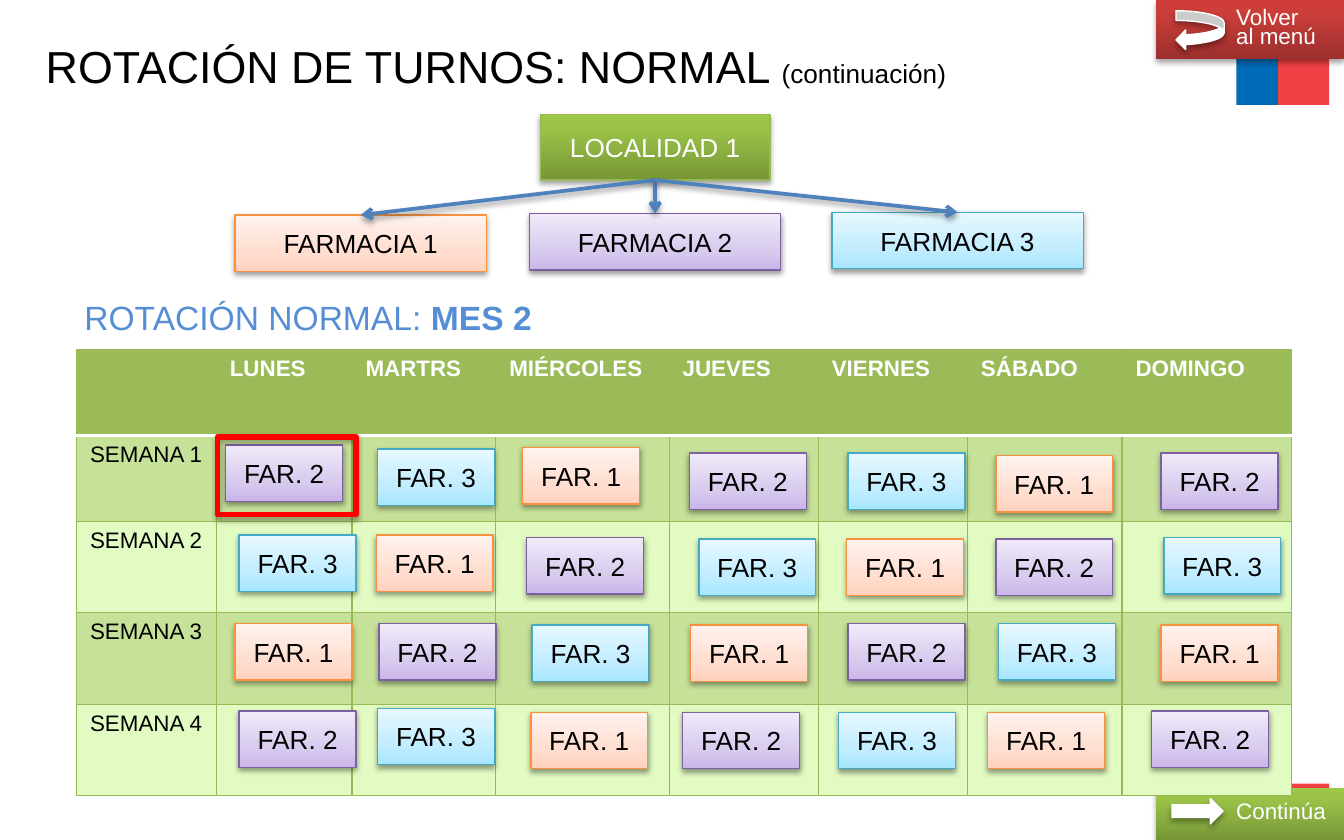
from lxml.etree import SubElement
from pptx import Presentation
from pptx.dml.color import RGBColor
from pptx.enum.shapes import MSO_CONNECTOR, MSO_SHAPE
from pptx.enum.text import MSO_ANCHOR, PP_ALIGN
from pptx.oxml import parse_xml
from pptx.oxml.ns import nsdecls, qn
from pptx.util import Inches, Pt

# Content
TITLE = [("ROTACIÓN DE TURNOS: NORMAL ", 24, False), ("(continuación)", 14, False)]
SUBTITLE = [("ROTACIÓN NORMAL: ", 18, False), ("MES 2", 18, True)]
DAYS = ["LUNES", "MARTRS", "MIÉRCOLES", "JUEVES", "VIERNES", "SÁBADO", "DOMINGO"]
WEEKS = ["SEMANA 1", "SEMANA 2", "SEMANA 3", "SEMANA 4"]
PHARMACIES = {1: (1.75, 1.6), 2: (3.94, 1.59), 3: (6.19, 1.58)}
FIRST_TURN = 2

# Left and top of each turn card, a row for each week
CARD_SPOTS = [
    [(1.68, 3.31), (2.81, 3.34), (3.89, 3.33), (5.13, 3.37), (6.31, 3.37), (7.41, 3.39), (8.64, 3.37)],
    [(1.78, 3.98), (2.8, 3.98), (3.92, 4), (5.2, 4.01), (6.3, 4.01), (7.41, 4.01), (8.66, 4)],
    [(1.75, 4.64), (2.82, 4.64), (3.96, 4.65), (5.14, 4.65), (6.31, 4.64), (7.43, 4.64), (8.64, 4.65)],
    [(1.78, 5.29), (2.81, 5.27), (3.95, 5.3), (5.08, 5.3), (6.24, 5.3), (7.35, 5.3), (8.57, 5.29)],
]
COL_WIDTHS = [1.04, 1.01, 1.07, 1.29, 1.11, 1.11, 1.15, 1.26]
ROW_HEIGHTS = [0.64, 0.64, 0.68, 0.68, 0.68]

# Look
COLORS = {
    "black": "000000", "white": "FFFFFF", "blue": "006CB7", "red": "EF4144",
    "arrow": "4F81BD", "subtitle": "558ED5", "mark": "FF0000", "border": "98B955",
    "header": "9BBB59", "odd": "C6E198", "even": "E2FBC2",
}
GREEN = [(0, "779737"), (80, "9BC348"), (100, "9DC746")]
RED = [(0, "9C2F2D"), (80, "CB3E3A"), (100, "CE3B37")]
CARD_STYLES = {
    1: ([(0, "FFD2BD"), (35, "FFDED0"), (100, "FFF2ED")], "F69240"),
    2: ([(0, "C9B5E8"), (35, "D8CBEE"), (100, "F0EAF9")], "7D60A0"),
    3: ([(0, "A7E6FF"), (35, "C1EDFF"), (100, "E7F8FF")], "46AAC5"),
}
STRONG, SOFT = (35, 1.8), (38, 1.6)  # shadow opacity and distance


def rgb(name):
    return RGBColor.from_string(COLORS.get(name, name))


def add_runs(p, runs, color):
    for text, size, bold in runs:
        r = p.add_run()
        r.text = text
        for key, value in {"name": "Arial", "size": Pt(size), "bold": bold}.items():
            setattr(r.font, key, value)
        r.font.color.rgb = rgb(color)


def add_shadow(effects, look):
    opacity, distance = look
    effects.append(parse_xml(
        f'<a:outerShdw {nsdecls("a")} blurRad="{Pt(3.1)}" dist="{Pt(distance)}" dir="5400000" '
        f'rotWithShape="0"><a:srgbClr val="000000"><a:alpha val="{opacity * 1000}"/>'
        '</a:srgbClr></a:outerShdw>'))


def add_box(box, fill=None, line=None, width=0.75, shadow=None, kind=MSO_SHAPE.RECTANGLE):
    sp = s.shapes.add_shape(kind, *map(Inches, box))
    sp.shadow.inherit = False
    if isinstance(fill, list):
        sp.fill.gradient()
        sp.fill.gradient_angle = 90
        stops = sp.element.spPr.find(qn("a:gradFill")).find(qn("a:gsLst"))
        for stop in list(stops):
            stops.remove(stop)
        for pos, color in fill:
            stop = SubElement(stops, qn("a:gs"), pos=str(pos * 1000))
            SubElement(stop, qn("a:srgbClr"), val=color)
    elif fill:
        sp.fill.solid()
        sp.fill.fore_color.rgb = rgb(fill)
    else:
        sp.fill.background()
    if line:
        sp.line.color.rgb = rgb(line)
        sp.line.width = Pt(width)
    else:
        sp.line.fill.background()
    if shadow:
        add_shadow(sp.element.spPr.find(qn("a:effectLst")), shadow)
    return sp


def add_label(sp, text, color):
    tf = sp.text_frame
    tf.vertical_anchor = MSO_ANCHOR.MIDDLE
    p = tf.paragraphs[0]
    p.alignment = PP_ALIGN.CENTER
    add_runs(p, [(text, 14, False)], color)


def add_card(number, text, box):
    fill, line = CARD_STYLES[number]
    sp = add_box(box, fill, line, shadow=SOFT)
    add_label(sp, text, "black")
    return sp


def add_button(box, fill, lines, arrow, arrow_box):
    tf = add_box(box, fill, shadow=STRONG).text_frame
    tf.vertical_anchor = MSO_ANCHOR.MIDDLE
    for i, text in enumerate(lines):
        p = tf.add_paragraph() if i else tf.paragraphs[0]
        p.alignment, p.level, p.line_spacing = PP_ALIGN.LEFT, 1, 0.7
        pPr = p._p.get_or_add_pPr()
        pPr.set("marL", str(Inches(0.5)))
        pPr.set("indent", "0")
        add_runs(p, [(text, 12, False)], "white")
    add_box(arrow_box, "white", "white", shadow=STRONG, kind=arrow)


def add_arrow(start, end):
    c = s.shapes.add_connector(MSO_CONNECTOR.STRAIGHT, 0, 0, 0, 0)
    c.begin_connect(start, 2)
    c.end_connect(end, 0)
    c.line.color.rgb = rgb("arrow")
    c.line.width = Pt(2)
    spPr = c.element.spPr
    SubElement(spPr.find(qn("a:ln")), qn("a:tailEnd"), type="arrow")
    add_shadow(SubElement(spPr, qn("a:effectLst")), SOFT)


def style_cell(cell, fill, top, bottom):
    cell.fill.solid()
    cell.fill.fore_color.rgb = rgb(fill)
    sides = {"L": ("border", 0.75), "R": ("border", 0.75), "T": top, "B": bottom}
    for i, (side, (color, width)) in enumerate(sides.items()):
        cell._tc.get_or_add_tcPr().insert(i, parse_xml(
            f'<a:ln{side} {nsdecls("a")} w="{Pt(width)}"><a:solidFill>'
            f'<a:srgbClr val="{COLORS[color]}"/></a:solidFill></a:ln{side}>'))


prs = Presentation()
prs.slide_width, prs.slide_height = Inches(10), Inches(6.25)
s = prs.slides.add_slide(prs.slide_layouts[5])

# Colour bands
for top, height in [(0, 0.78), (5.83, 0.42)]:
    add_box((9.2, top, 0.31, height), "blue")
    add_box((9.51, top, 0.38, height), "red")

# Title
title = s.shapes.title
for key, value in zip(("left", "top", "width", "height"), (0.34, 0.14, 7.83, 0.74)):
    setattr(title, key, Inches(value))
tf = title.text_frame
for key, value in {"margin_left": 0, "margin_right": 0, "margin_top": 0, "margin_bottom": 0,
                   "word_wrap": False, "vertical_anchor": MSO_ANCHOR.MIDDLE}.items():
    setattr(tf, key, value)
p = tf.paragraphs[0]
p.alignment, p.line_spacing = PP_ALIGN.LEFT, 0.9
add_runs(p, TITLE, "black")

# Locality and its pharmacies
locality = add_box((4.02, 0.85, 1.71, 0.49), GREEN, "border", shadow=STRONG)
add_label(locality, "LOCALIDAD 1", "white")
for number, spot in PHARMACIES.items():
    add_arrow(locality, add_card(number, f"FARMACIA {number}", (*spot, 1.87, 0.42)))

# Navigation buttons
add_button((8.6, 0, 1.4, 0.44), RED, ["Volver", "al menú"],
           MSO_SHAPE.CURVED_LEFT_ARROW, (8.75, 0.08, 0.36, 0.29))
add_button((8.6, 5.86, 1.4, 0.39), GREEN, ["Continúa"],
           MSO_SHAPE.RIGHT_ARROW, (8.72, 5.94, 0.38, 0.19))

# Rotation table
rows = [["", *DAYS]] + [[week] + [""] * len(DAYS) for week in WEEKS]
table = s.shapes.add_table(len(rows), len(rows[0]), Inches(0.57), Inches(2.6),
                           Inches(sum(COL_WIDTHS)), Inches(sum(ROW_HEIGHTS))).table
for col, width in zip(table.columns, COL_WIDTHS):
    col.width = Inches(width)
thin, thick = ("border", 0.75), ("white", 2)
for i, row in enumerate(rows):
    table.rows[i].height = Inches(ROW_HEIGHTS[i])
    fill = "header" if i == 0 else "odd" if i % 2 else "even"
    for j, text in enumerate(row):
        cell = table.cell(i, j)
        style_cell(cell, fill, thick if i == 1 else thin, thick if i == 0 else thin)
        if text:
            add_runs(cell.text_frame.paragraphs[0], [(text, 12, i == 0)],
                     "black" if i else "white")

# Turn cards: the pharmacies take turns day after day
for week, spots in enumerate(CARD_SPOTS):
    for day, spot in enumerate(spots):
        number = (FIRST_TURN - 1 + week * len(DAYS) + day) % len(PHARMACIES) + 1
        add_card(number, f"FAR. {number}", (*spot, 0.87, 0.42))

# Subtitle and mark on the first turn
tf = s.shapes.add_textbox(*map(Inches, (0.53, 2.16, 3.56, 0.4))).text_frame
tf.word_wrap = False
add_runs(tf.paragraphs[0], SUBTITLE, "subtitle")
add_box((1.62, 3.25, 1.03, 0.58), line="mark", width=3, shadow=STRONG)

prs.save("out.pptx")
